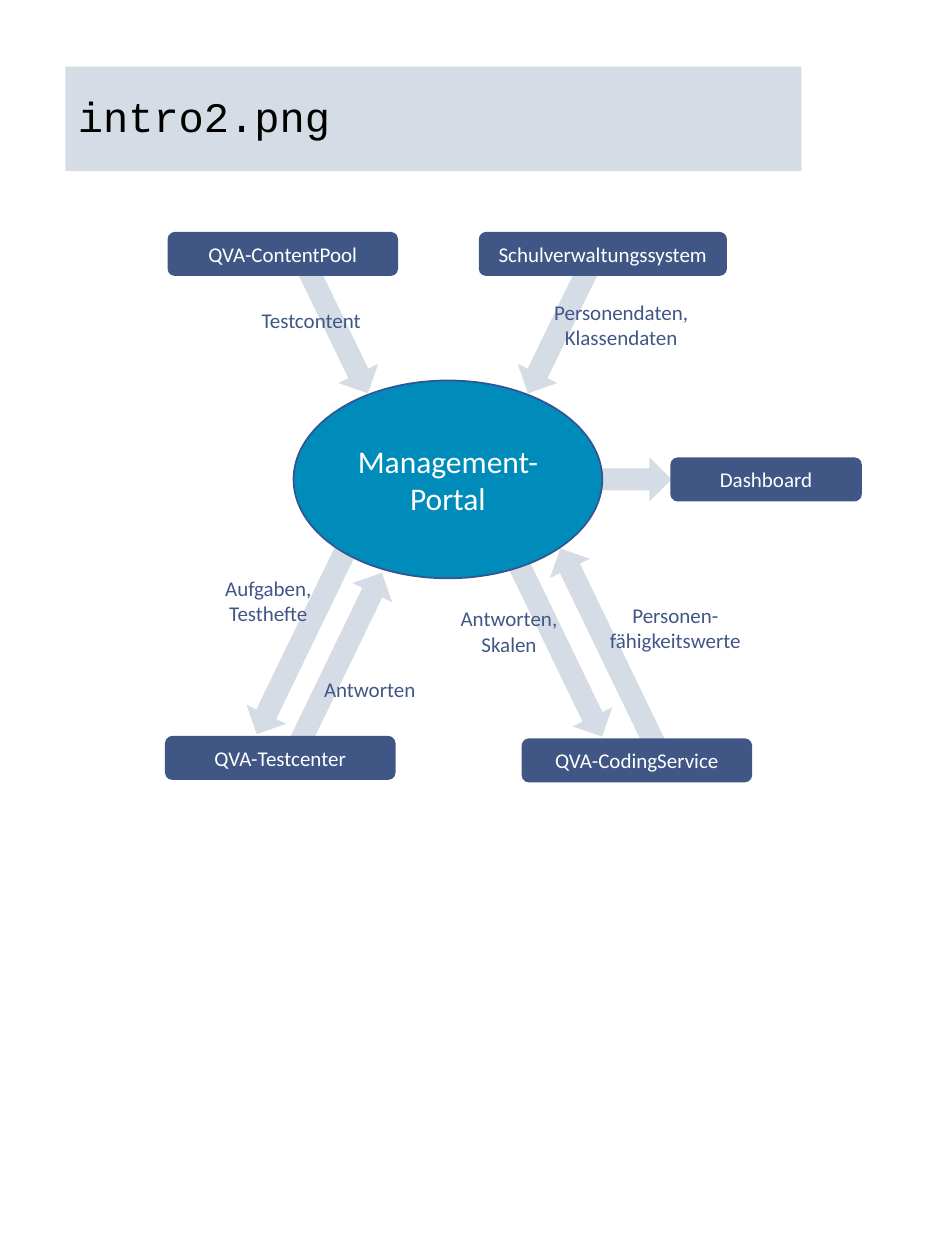
"""Build the slide of data flows around the management portal."""
import pptx
import pptx.dml.color
import pptx.enum.shapes
import pptx.enum.text
import pptx.util

Inches = pptx.util.Inches
Pt = pptx.util.Pt
Kind = pptx.enum.shapes.MSO_SHAPE
Anchor = pptx.enum.text.MSO_ANCHOR
Align = pptx.enum.text.PP_ALIGN

THEME = {
    "pale": "D6DCE5", "navy": "405786", "teal": "008CBA", "edge": "325491",
    "white": "FFFFFF", "black": "000000",
    "body": "Calibri", "mono": "Courier New",
    "small": 12, "large": 18, "huge": 24,
}
BAR = 0.35
TILT = 64.2
TITLE = ("intro2.png", 0.52, 0.53, 5.84, 0.83)
HUB = ("Management-Portal", 2.33, 3.02, 2.45, 1.57)
NODES = [
    ("QVA-ContentPool", 1.33, 1.84, 1.83),
    ("Schulverwaltungssystem", 3.8, 1.84, 1.97),
    ("Dashboard", 5.32, 3.63, 1.52),
    ("QVA-Testcenter", 1.31, 5.84, 1.83),
    ("QVA-CodingService", 4.14, 5.86, 1.83),
]
FLOWS = [
    (2.08, 2.42, 1.17, TILT),
    (3.86, 2.42, 1.17, 180 - TILT),
    (3.85, 3.63, 1.48, 0),
    (3.58, 4.92, 1.67, TILT),
    (1.56, 4.89, 1.69, 180 - TILT),
    (3.95, 4.97, 1.76, 180 + TILT),
    (1.79, 5.15, 1.73, 360 - TILT),
]
LABELS = [
    ("Testcontent", 1.97, 2.39, 1, 0.28),
    ("Personendaten, Klassendaten", 4.22, 2.33, 1.42, 0.51),
    ("Personen-fähigkeitswerte", 4.65, 4.73, 1.42, 0.51),
    ("Antworten", 2.46, 5.32, 0.95, 0.3),
    ("Antworten, Skalen", 3.52, 4.76, 1.04, 0.51),
    ("Aufgaben, Testhefte", 1.63, 4.52, 1, 0.54),
]


def tint(name):
    """Return a theme colour."""
    return pptx.dml.color.RGBColor.from_string(THEME[name])


def apply(item, values):
    """Set each attribute in a dict of format values."""
    for name, value in values.items():
        setattr(item, name, value)


def write(shape, text, color, size="small", face="body",
          align=Align.CENTER, anchor=Anchor.MIDDLE, space=1.0):
    """Put styled text in a shape."""
    frame = shape.text_frame
    frame.text = text
    para = frame.paragraphs[0]
    apply(frame, {"word_wrap": True, "vertical_anchor": anchor})
    apply(para, {"alignment": align, "line_spacing": space})
    apply(para.runs[0].font, {"name": THEME[face], "size": Pt(THEME[size])})
    para.runs[0].font.color.rgb = tint(color)


def draw(slide, kind, box, fill, edge=None):
    """Add a filled shape with an optional outline."""
    shape = slide.shapes.add_shape(kind, *map(Inches, box))
    shape.shadow.inherit = False
    shape.fill.solid()
    shape.fill.fore_color.rgb = tint(fill)
    if edge:
        shape.line.color.rgb = tint(edge)
        shape.line.width = Pt(1)
    else:
        shape.line.fill.background()
    return shape


def main():
    """Build and save the slide."""
    deck = pptx.Presentation()
    apply(deck, {"slide_width": Inches(7.5), "slide_height": Inches(10)})
    slide = deck.slides.add_slide(deck.slide_layouts[6])

    text, *box = TITLE
    write(draw(slide, Kind.RECTANGLE, box, "pale"), text, "black",
          "huge", "mono", Align.LEFT, space=0.9)
    for left, top, width, angle in FLOWS:
        arrow = draw(slide, Kind.RIGHT_ARROW, (left, top, width, BAR), "pale")
        arrow.rotation = angle
    for text, *place in NODES:
        node = draw(slide, Kind.ROUNDED_RECTANGLE, (*place, BAR), "navy")
        write(node, text, "white")
    text, *box = HUB
    write(draw(slide, Kind.OVAL, box, "teal", "edge"), text, "white", "large")
    for text, *box in LABELS:
        label = slide.shapes.add_textbox(*map(Inches, box))
        write(label, text, "navy", anchor=Anchor.TOP)

    deck.save("out.pptx")


if __name__ == "__main__":
    main()
